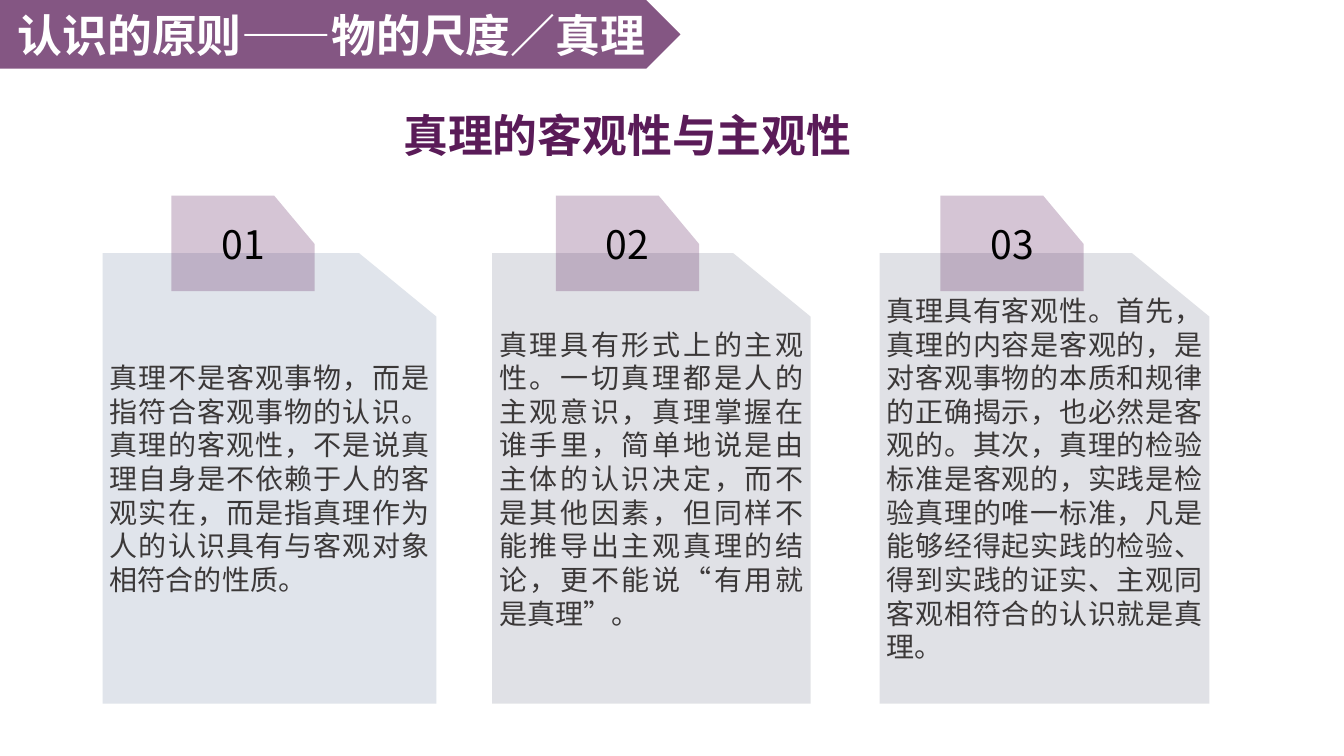
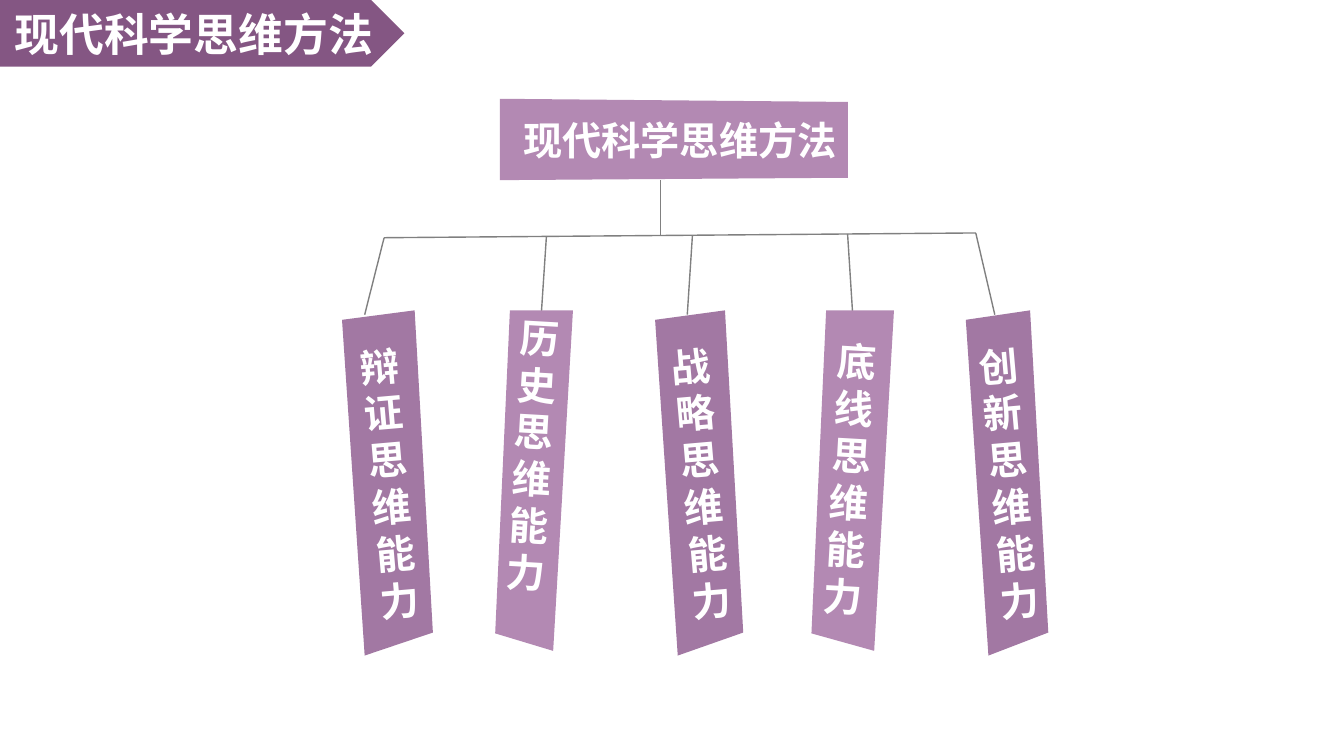
from dataclasses import dataclass
from math import cos, radians, sin

from lxml.etree import SubElement
from pptx import Presentation
from pptx.dml.color import RGBColor
from pptx.enum.shapes import MSO_CONNECTOR, MSO_SHAPE
from pptx.enum.text import MSO_ANCHOR, MSO_AUTO_SIZE, PP_ALIGN
from pptx.oxml.ns import qn
from pptx.util import Cm, Pt


@dataclass(frozen=True)
class Theme:
    font: str = "Noto Sans CJK SC"
    plum: str = "5A1B58"
    mauve: str = "B389B3"
    deep_mauve: str = "A278A3"
    steel: str = "8497B0"
    silver: str = "C0C2CC"
    rule: str = "808080"
    ink: str = "3B3838"
    black: str = "000000"
    white: str = "FFFFFF"
    heading: int = 32
    label: int = 28
    body: int = 20


@dataclass(frozen=True)
class Box:
    x: float
    y: float
    w: float
    h: float

    @property
    def lengths(self):
        return Cm(self.x), Cm(self.y), Cm(self.w), Cm(self.h)


THEME = Theme()
HEADING = {"size": Pt(THEME.heading), "bold": True}
LABEL = {"size": Pt(THEME.label), "bold": True}
NUMBER = {"size": Pt(THEME.label), "bold": False}
BODY = {"size": Pt(THEME.body), "bold": False}
CARD_INSETS = (0.18, 0.1, 0.18, 0.1)
TITLE_INSETS = (0.25, 0.13, 0.25, 0.13)


def apply(target, values):
    for name, value in values.items():
        setattr(target, name, value)


def write(shape, lines, style, color, align=PP_ALIGN.CENTER,
          insets=TITLE_INSETS, wrap=True, spacing=None):
    frame = shape.text_frame
    sides = ("margin_left", "margin_top", "margin_right", "margin_bottom")
    apply(frame, dict(zip(sides, map(Cm, insets))))
    apply(frame, {"word_wrap": wrap, "auto_size": MSO_AUTO_SIZE.NONE,
                  "vertical_anchor": MSO_ANCHOR.MIDDLE})
    for index, line in enumerate(lines):
        paragraph = frame.add_paragraph() if index else frame.paragraphs[0]
        paragraph.alignment = align
        if spacing:
            paragraph.line_spacing = Pt(spacing)
        run = paragraph.add_run()
        run.text = line
        apply(run.font, {**style, "name": THEME.font})
        run.font.color.rgb = RGBColor.from_string(color)
        east_asian = SubElement(run.font._element, qn("a:ea"))
        east_asian.set("typeface", THEME.font)


def paint(shape, color, opacity=100):
    shape.shadow.inherit = False
    shape.line.fill.background()
    shape.fill.solid()
    shape.fill.fore_color.rgb = RGBColor.from_string(color)
    if opacity < 100:
        tint = shape.element.spPr.find(qn("a:solidFill")).find(qn("a:srgbClr"))
        SubElement(tint, qn("a:alpha")).set("val", str(opacity * 1000))


def outline(slide, points, color, opacity=100):
    corners = [(Cm(x), Cm(y)) for x, y in points]
    builder = slide.shapes.build_freeform(*corners[0], scale=1.0)
    builder.add_line_segments(corners[1:], close=True)
    shape = builder.convert_to_shape()
    paint(shape, color, opacity)
    return shape


def rule(slide, start, end):
    line = slide.shapes.add_connector(
        MSO_CONNECTOR.STRAIGHT, *map(Cm, start), *map(Cm, end))
    line.line.color.rgb = RGBColor.from_string(THEME.rule)
    line.line.width = Pt(1)
    SubElement(line.element.spPr, qn("a:effectLst"))


def titled_slide(deck, text, box):
    slide = deck.slides.add_slide(deck.slide_layouts[5])
    plate = slide.shapes.add_shape(MSO_SHAPE.PENTAGON, *box.lengths)
    paint(plate, THEME.plum, 74)
    title = slide.shapes.title
    left, top, width, height = box.lengths
    apply(title, {"left": left, "top": top,
                  "width": width - height // 4, "height": height})
    write(title, [text], HEADING, THEME.white, wrap=False)
    plate.element.addnext(title.element)
    return slide


def cut_corner(slide, box, cut_w, cut_h, color, opacity):
    right, bottom = box.x + box.w, box.y + box.h
    points = [(box.x, box.y), (right - cut_w, box.y), (right, box.y + cut_h),
              (right, bottom), (box.x, bottom)]
    return outline(slide, points, color, opacity)


def card(slide, box, text, color, opacity):
    panel = cut_corner(slide, box, 1.95, 1.6, color, opacity)
    write(panel, [text], BODY, THEME.ink, PP_ALIGN.JUSTIFY, CARD_INSETS)


def number_tab(slide, box, number):
    tab = cut_corner(slide, box, 1.02, 1.22, THEME.plum, 25)
    write(tab, [f"{number:02d}"], NUMBER, THEME.black, insets=CARD_INSETS)


def turn(point, pivot, angle):
    dx, dy = point[0] - pivot[0], point[1] - pivot[1]
    c, s = cos(radians(angle)), sin(radians(angle))
    return pivot[0] + dx * c - dy * s, pivot[1] + dx * s + dy * c


def banner(slide, box, text, leans_left, lift):
    if leans_left:
        offsets = [(0, 0.24), (box.w, 0), (box.w + 0.46, box.h - 0.58), (0.57, box.h)]
        angle, color = -5, THEME.deep_mauve
    else:
        offsets = [(0, 0), (box.w, 0), (box.w - 0.5, box.h - 0.12), (-0.37, box.h - 0.56)]
        angle, color = 3.4, THEME.mauve
    pivot = (box.x + box.w / 2, box.y + box.h / 2)
    upright = [turn((box.x + dx, box.y + dy), pivot, -angle) for dx, dy in offsets]
    shape = outline(slide, upright, color)
    middle = [(min(axis) + max(axis)) / 2 for axis in zip(*upright)]
    x, y = turn(middle, pivot, angle)
    apply(shape, {"left": Cm(x) - shape.width // 2,
                  "top": Cm(y) - shape.height // 2, "rotation": angle})
    write(shape, text, LABEL, THEME.white, insets=(0, 0, 0, lift), spacing=33.6)


def root_box(slide, box, text):
    right, bottom = box.x + box.w, box.y + box.h
    points = [(box.x, box.y), (right, box.y + 0.08),
              (right, bottom - 0.06), (box.x, bottom)]
    write(outline(slide, points, THEME.mauve), [text], LABEL, THEME.white,
          insets=(0.55, 0.13, 0.25, 0.13), wrap=False)


def branches(slide, box, drops, stem):
    def bar_y(x):
        return 5.99 - 0.12 * (x - box.x) / box.w

    right = box.x + box.w
    rule(slide, (box.x, bar_y(box.x)), (right, bar_y(right)))
    rule(slide, (stem, box.y), (stem, bar_y(stem)))
    for upper, lower in drops:
        rule(slide, (upper, bar_y(upper)), (lower, box.y + box.h))


def truth_slide(deck):
    slide = titled_slide(deck, "认识的原则——物的尺度／真理", Box(0, 0, 17.15, 1.73))
    cards = [
        (2.59, 8.41, THEME.steel, 25,
         "真理不是客观事物，而是指符合客观事物的认识。真理的客观性，不是说真理自身是不依赖于人的客观实在，"
         "而是指真理作为人的认识具有与客观对象相符合的性质。"),
        (12.4, 8.03, THEME.silver, 48,
         "真理具有形式上的主观性。一切真理都是人的主观意识，真理掌握在谁手里，简单地说是由主体的认识决定，"
         "而不是其他因素，但同样不能推导出主观真理的结论，更不能说“有用就是真理”。"),
        (22.17, 8.31, THEME.silver, 48,
         "真理具有客观性。首先，真理的内容是客观的，是对客观事物的本质和规律的正确揭示，也必然是客观的。"
         "其次，真理的检验标准是客观的，实践是检验真理的唯一标准，凡是能够经得起实践的检验、得到实践的证实、"
         "主观同客观相符合的认识就是真理。"),
    ]
    for index, (x, width, color, opacity, text) in enumerate(cards):
        card(slide, Box(x, 6.38, width, 11.35), text, color, opacity)
        number_tab(slide, Box(4.32 + 9.69 * index, 4.93, 3.61, 2.41), index + 1)
    heading = slide.shapes.add_textbox(*Box(9.86, 2.57, 11.91, 1.63).lengths)
    write(heading, ["真理的客观性与主观性"], HEADING, THEME.plum, wrap=False)


def thinking_slide(deck):
    topic = "现代科学思维方法"
    slide = titled_slide(deck, topic, Box(0, 0, 10.19, 1.68))
    root_box(slide, Box(12.6, 2.49, 8.77, 2.05), topic)
    abilities = [
        ("辩证", 8.62, 1.83, 0, 9.68, 9.19),
        ("历史", 12.85, 1.59, 1.2, 13.77, 13.64),
        ("战略", 16.51, 1.76, 0, 17.45, 17.32),
        ("底线", 20.82, 1.71, 0, 21.36, 21.49),
        ("创新", 24.34, 1.62, 0, 24.59, 25.07),
    ]
    drops = [(upper, lower) for *_, upper, lower in abilities]
    branches(slide, Box(9.68, 4.54, 14.91, 3.39), drops, 16.64)
    for index, (kind, x, width, lift, *_) in enumerate(abilities):
        banner(slide, Box(x, 7.82, width, 8.7), kind + "思维能力",
               index % 2 == 0, lift)


def main():
    deck = Presentation()
    apply(deck, {"slide_width": Cm(33.87), "slide_height": Cm(19.05)})
    truth_slide(deck)
    thinking_slide(deck)
    deck.save("out.pptx")


if __name__ == "__main__":
    main()
